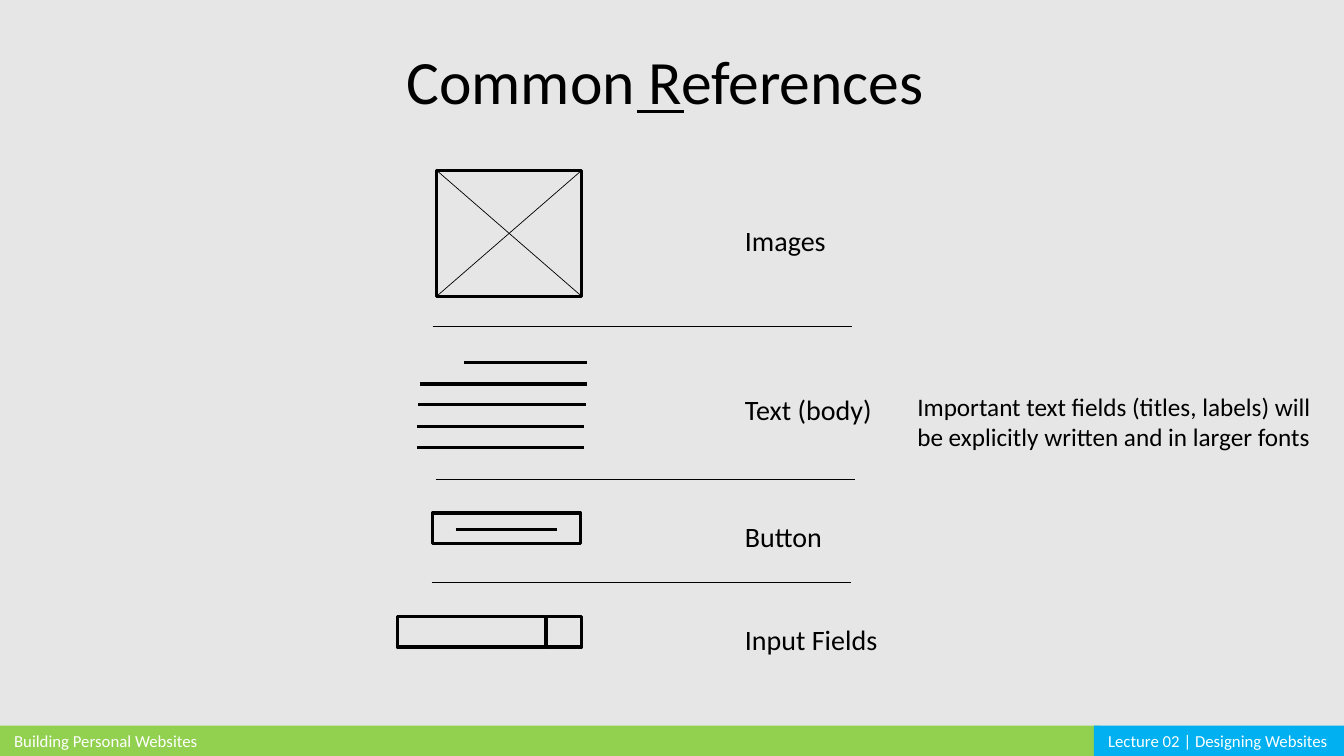
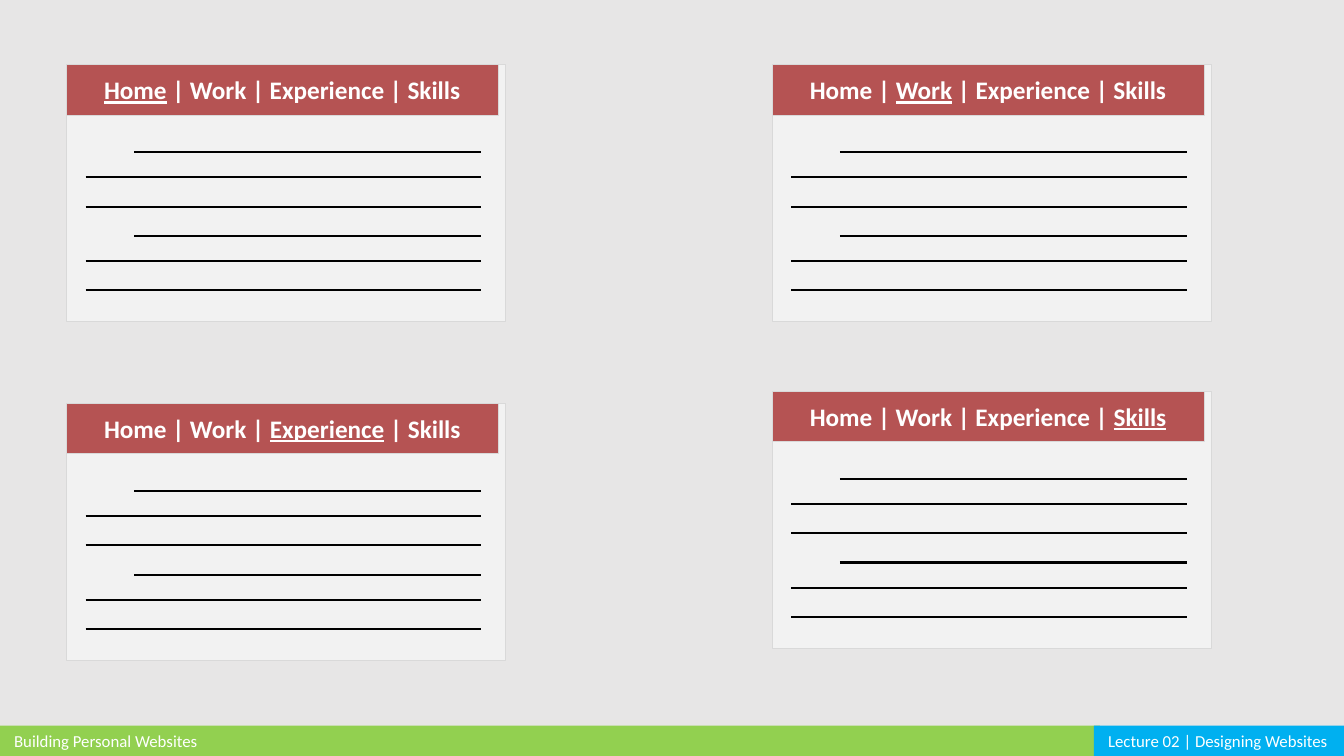
import lxml.etree
import pptx
import pptx.dml.color
import pptx.enum.shapes
import pptx.enum.text
import pptx.oxml.ns
import pptx.util

hue = pptx.dml.color.RGBColor.from_string
align = pptx.enum.text.PP_ALIGN
anchor = pptx.enum.text.MSO_ANCHOR

# Shared colours and font
BLACK, WHITE = "000000", "FFFFFF"
GREEN, BLUE, RED = "92D050", "00B0F0", "B55353"
GREY, PAGE, RIM = "E7E6E6", "F2F2F2", "D9D9D9"
FONT = "Calibri"


def box(slide, place, fill=None, edge=None, width=1, runs=(), size=18,
        ink=BLACK, bold=False, para=None, frame=None):
    """Draw a rectangle, or a text box when it has no fill and no edge."""
    place = [pptx.util.Inches(v) for v in place]
    if fill or edge:
        rect = pptx.enum.shapes.MSO_SHAPE.RECTANGLE
        shape = slide.shapes.add_shape(rect, *place)
        shape.shadow.inherit = False
        if fill:
            shape.fill.solid()
            shape.fill.fore_color.rgb = hue(fill)
        else:
            shape.fill.background()
        if edge:
            shape.line.color.rgb = hue(edge)
            shape.line.width = pptx.util.Pt(width)
        else:
            shape.line.fill.background()
    else:
        shape = slide.shapes.add_textbox(*place)
    text = shape.text_frame
    for key, val in {"word_wrap": True, **(frame or {})}.items():
        setattr(text, key, val)
    first = text.paragraphs[0]
    for key, val in {"alignment": align.LEFT, **(para or {})}.items():
        setattr(first, key, val)
    for words, under in runs:
        run = first.add_run()
        run.text = words
        look = {"name": FONT, "size": pptx.util.Pt(size), "bold": bold, "underline": under}
        for key, val in look.items():
            setattr(run.font, key, val)
        run.font.color.rgb = hue(ink)


def rule(slide, x1, y1, x2, y2, width):
    """Draw a black straight line without a shadow."""
    ends = [pptx.util.Inches(v) for v in (x1, y1, x2, y2)]
    kind = pptx.enum.shapes.MSO_CONNECTOR.STRAIGHT
    line = slide.shapes.add_connector(kind, *ends)
    line.line.color.rgb = hue(BLACK)
    line.line.width = pptx.util.Pt(width)
    lxml.etree.SubElement(line._element.spPr, pptx.oxml.ns.qn("a:effectLst"))


# Deck and background
deck = pptx.Presentation()
deck.slide_width = pptx.util.Inches(13.33)
deck.slide_height = pptx.util.Inches(7.5)
back = deck.slide_master.background.fill
back.solid()
back.fore_color.rgb = hue(GREY)

# Slides with their footer bands
refs = deck.slides.add_slide(deck.slide_layouts[5])
pages = deck.slides.add_slide(deck.slide_layouts[6])
bands = [
    (0, 10.91, GREEN, "Building Personal Websites"),
    (10.85, 2.48, BLUE, "Lecture 02 | Designing Websites"),
]
inset = {"margin_left": pptx.util.Inches(0.14), "margin_right": 0,
         "vertical_anchor": anchor.MIDDLE}
for slide in (refs, pages):
    for left, wide, fill, words in bands:
        box(slide, (left, 7.2, wide, 0.3), fill, runs=[(words, False)],
            size=12, ink=WHITE, frame=inset)

# Slide 1: title
title = refs.shapes.title
spot = {"left": 2.41, "top": 0.01, "width": 8.38, "height": 1.1}
for key, val in spot.items():
    setattr(title, key, pptx.util.Inches(val))
text = title.text_frame
text.text = "Common References"
text.vertical_anchor = anchor.TOP
text.auto_size = pptx.enum.text.MSO_AUTO_SIZE.NONE
head = text.paragraphs[0]
head.alignment = align.CENTER
head.line_spacing = 1.5
look = {"name": FONT, "size": pptx.util.Pt(44)}
for key, val in look.items():
    setattr(head.font, key, val)
head.font.color.rgb = hue(BLACK)
rule(refs, 6.32, 1.11, 6.78, 1.11, 2.25)

# Image symbol: crossed frame
box(refs, (4.33, 1.69, 1.44, 1.25), edge=BLACK, width=2.25)
rule(refs, 4.33, 1.69, 5.77, 2.94, 0.5)
rule(refs, 5.77, 1.69, 4.33, 2.94, 0.5)

# Body text symbol
for left, y, right in [(4.6, 3.6, 5.82), (4.17, 3.81, 5.82), (4.15, 4.01, 5.81),
                       (4.14, 4.23, 5.79), (4.14, 4.44, 5.79)]:
    rule(refs, left, y, right, y, 2.25)

# Button and input field symbols
for left, top, wide in [(4.29, 5.09, 1.47), (3.94, 6.12, 1.47), (5.42, 6.12, 0.35)]:
    box(refs, (left, top, wide, 0.3), edge=BLACK, width=2.25)
rule(refs, 4.52, 5.25, 5.52, 5.25, 2.25)

# Labels, dividers and remark
for top, words in [(2, "Images"), (3.68, "Text (body)"),
                   (4.94, "Button"), (5.96, "Input Fields")]:
    box(refs, (7.29, top, 1.71, 0.55), runs=[(words, False)], size=20,
        para={"line_spacing": 1.5})
for left, y in [(4.29, 3.24), (4.32, 4.76), (4.28, 5.78)]:
    rule(refs, left, y, left + 4.16, y, 0.75)
remark = "Important text fields (titles, labels) will be explicitly written and in larger fonts"
box(refs, (9, 3.83, 4.16, 0.71), runs=[(remark, False)])

# Slide 2: one page sketch per menu entry
menu = ["Home", "Work", "Experience", "Skills"]
spots = [(0.66, 0.64), (7.66, 0.64), (0.66, 4), (7.66, 3.88)]
for name, (left, top) in zip(menu, spots):
    box(pages, (left, top, 4.35, 2.55), PAGE, RIM, 0.25)
    runs = []
    for item in menu:
        if runs:
            runs.append((" | ", False))
        runs.append((item, item == name))
    box(pages, (left, top, 4.28, 0.5), RED, RIM, 0.25, runs, ink=WHITE, bold=True,
        para={"alignment": align.CENTER}, frame={"vertical_anchor": anchor.MIDDLE})
    for start in (0.87, 1.7):
        for indent, drop in [(0.67, 0), (0.19, 0.25), (0.19, 0.54)]:
            y = top + start + drop
            rule(pages, left + indent, y, left + 4.11, y, 1.5)

deck.save("out.pptx")
